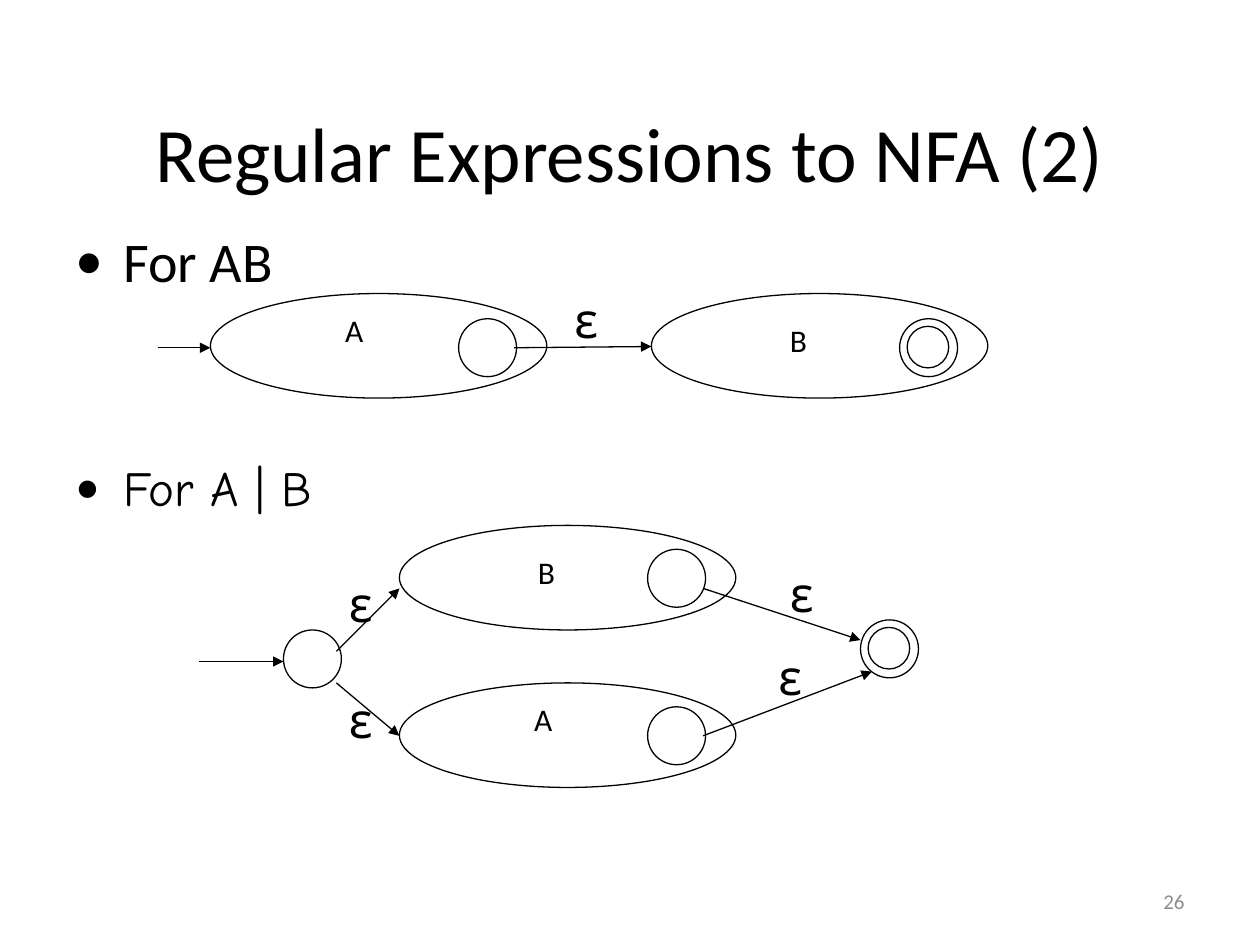
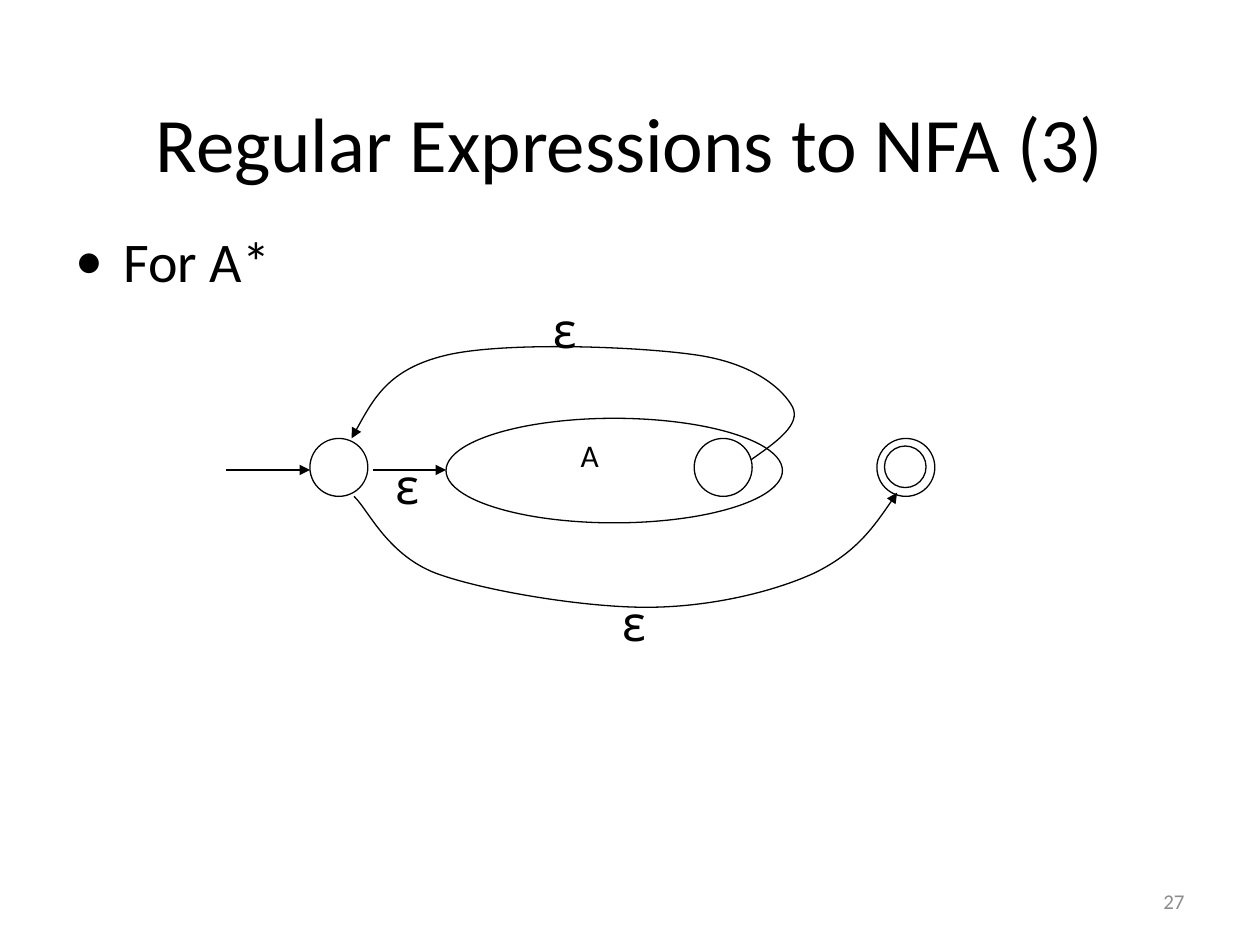
"""Build two slides on turning regular expressions into NFAs."""
import dataclasses

import lxml.etree
import pptx
import pptx.dml.color
import pptx.enum.shapes
import pptx.enum.text
import pptx.oxml.ns
import pptx.util

PX = 9144
ALIGN = pptx.enum.text.PP_ALIGN
ANCHOR = pptx.enum.text.MSO_ANCHOR
qn = pptx.oxml.ns.qn


@dataclasses.dataclass(frozen=True)
class Theme:
    ink: str = "000000"
    paper: str = "FFFFFF"
    muted: str = "8C8C8C"
    body_font: str = "Calibri"
    hand_font: str = "Comic Neue"
    title_size: int = 44
    body_size: int = 32
    symbol_size: int = 28
    letter_size: int = 18
    number_size: int = 12
    line_width: float = 0.75


class Deck:
    MACHINE = (267, 83)
    STATE = 46
    CORE = 33
    LETTERS = {"A": (97, 9, 44), "B": (100, 17, 42)}

    def __init__(self, theme):
        self.theme = theme
        self.file = pptx.Presentation()
        self.file.slide_width, self.file.slide_height = 1000 * PX, 750 * PX
        self.slide = None

    def color(self, value):
        return pptx.dml.color.RGBColor.from_string(value)

    def add_slide(self, title, title_top, number):
        theme = self.theme
        self.slide = self.file.slides.add_slide(self.file.slide_layouts[6])
        self.slide.background.fill.solid()
        self.slide.background.fill.fore_color.rgb = self.color(theme.paper)
        middle = {"word_wrap": True, "vertical_anchor": ANCHOR.MIDDLE}
        self.text(str(number), (717, 695, 233, 40), theme.number_size,
                  color=theme.muted, align=ALIGN.RIGHT, frame_format=middle)
        self.text(title, (50, title_top, 900, 125), theme.title_size,
                  align=ALIGN.CENTER, frame_format=middle)

    def text(self, words, box, size, font=None, color=None, align=ALIGN.LEFT,
             frame_format=None, bullet=False):
        frame = self.slide.shapes.add_textbox(*(n * PX for n in box)).text_frame
        for name, value in (frame_format or {"word_wrap": True}).items():
            setattr(frame, name, value)
        paragraph = frame.paragraphs[0]
        paragraph.text = words
        paragraph.alignment = align
        if bullet:
            self.bullet(paragraph)
        font_format = {"name": font or self.theme.body_font, "size": pptx.util.Pt(size)}
        for name, value in font_format.items():
            setattr(paragraph.font, name, value)
        paragraph.font.color.rgb = self.color(color or self.theme.ink)

    def bullet(self, paragraph):
        properties = paragraph._p.get_or_add_pPr()
        properties.set("marL", str(38 * PX))
        properties.set("indent", str(-38 * PX))
        lxml.etree.SubElement(properties, qn("a:buFont"), typeface=self.theme.body_font)
        lxml.etree.SubElement(properties, qn("a:buChar"), char="•")

    def case(self, words, top, height=58, size=None, font=None):
        self.text(words, (50, top, 908, height), size or self.theme.body_size,
                  font, bullet=True)

    def label(self, words, box, size, font=None):
        fit = {"word_wrap": False,
               "auto_size": pptx.enum.text.MSO_AUTO_SIZE.SHAPE_TO_FIT_TEXT}
        self.text(words, box, size, font, frame_format=fit)

    def epsilon(self, left, top):
        self.label("ε", (left, top, 37, 57), self.theme.symbol_size, self.theme.hand_font)

    def ink_line(self, line):
        line.color.rgb = self.color(self.theme.ink)
        line.width = pptx.util.Pt(self.theme.line_width)

    def arrowhead(self, line):
        lxml.etree.SubElement(line._get_or_add_ln(), qn("a:tailEnd"), type="triangle")

    def oval(self, left, top, width, height):
        oval = self.slide.shapes.add_shape(
            pptx.enum.shapes.MSO_SHAPE.OVAL, *(n * PX for n in (left, top, width, height)))
        oval.shadow.inherit = False
        oval.fill.background()
        self.ink_line(oval.line)

    def state(self, left, top, accepting=False):
        self.oval(left, top, self.STATE, self.STATE)
        if accepting:
            inset = (self.STATE - self.CORE) // 2
            self.oval(left + inset, top + inset, self.CORE, self.CORE)

    def machine(self, letter, left, top, state_drop=19, accepting=False):
        self.oval(left, top, *self.MACHINE)
        right, down, width = self.LETTERS[letter]
        self.label(letter, (left + right, top + down, width, 50), self.theme.letter_size)
        self.state(left + 197, top + state_drop, accepting)

    def arrow(self, *ends):
        arrow = self.slide.shapes.add_connector(
            pptx.enum.shapes.MSO_CONNECTOR.STRAIGHT, *(n * PX for n in ends))
        self.ink_line(arrow.line)
        self.arrowhead(arrow.line)
        lxml.etree.SubElement(arrow._element.spPr, qn("a:effectLst"))

    def curve(self, start, *controls):
        builder = self.slide.shapes.build_freeform(*start, scale=PX)
        builder.add_line_segments(controls, close=False)
        curve = builder.convert_to_shape()
        curve.shadow.inherit = False
        curve.fill.background()
        self.ink_line(curve.line)
        self.arrowhead(curve.line)
        segments = list(curve._element.iter(qn("a:lnTo")))
        outline = segments[0].getparent()
        for first in range(0, len(segments), 3):
            bezier = lxml.etree.SubElement(outline, qn("a:cubicBezTo"))
            for segment in segments[first:first + 3]:
                bezier.append(segment[0])
                outline.remove(segment)


def concatenation_and_choice(deck):
    deck.add_slide("Regular Expressions to NFA (2)", 58, 26)
    deck.case("For AB", 175)
    deck.machine("A", 167, 233, 20)
    deck.machine("B", 517, 233, 20, accepting=True)
    deck.arrow(125, 276, 167, 276)
    deck.arrow(408, 276, 517, 275)
    deck.epsilon(446, 225)

    deck.case("For A | B", 358, size=deck.theme.symbol_size, font=deck.theme.hand_font)
    deck.machine("B", 317, 417)
    deck.machine("A", 317, 542)
    deck.state(225, 500)
    deck.state(683, 492, accepting=True)
    for ends in ((158, 525, 225, 525), (267, 517, 317, 467), (267, 542, 317, 584),
                 (558, 467, 683, 508), (558, 584, 692, 533)):
        deck.arrow(*ends)
    for corner in ((267, 450), (267, 542), (617, 442), (608, 508)):
        deck.epsilon(*corner)


def repetition(deck):
    deck.add_slide("Regular Expressions to NFA (3)", 50, 27)
    deck.case("For A*", 175, 67)
    deck.machine("A", 354, 332, 16)
    deck.state(246, 348)
    deck.state(696, 348, accepting=True)
    deck.arrow(179, 373, 246, 373)
    deck.arrow(296, 373, 354, 373)
    deck.curve((281, 394), (292, 404), (307, 440), (346, 455),
               (384, 469), (463, 482), (513, 482),
               (563, 482), (613, 470), (646, 455),
               (679, 439), (696, 415), (712, 391))
    deck.curve((596, 365), (616, 351), (636, 337), (629, 323),
               (622, 310), (600, 289), (554, 282),
               (508, 275), (400, 271), (354, 282),
               (308, 293), (294, 321), (279, 348))
    for corner in ((304, 357), (484, 465), (429, 233)):
        deck.epsilon(*corner)


def main():
    deck = Deck(Theme())
    concatenation_and_choice(deck)
    repetition(deck)
    deck.file.save("out.pptx")


if __name__ == "__main__":
    main()
